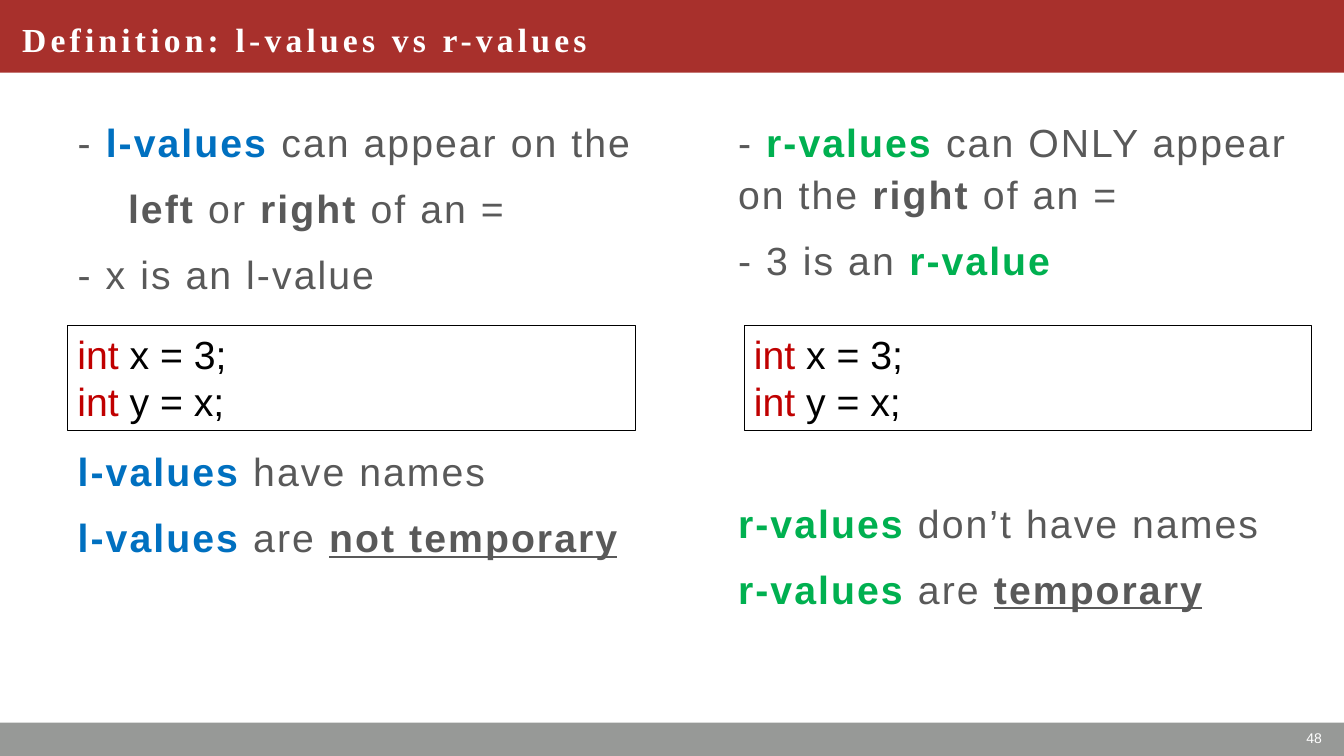
from lxml import etree
from pptx import Presentation
from pptx.dml.color import RGBColor
from pptx.enum.shapes import MSO_SHAPE
from pptx.enum.text import MSO_ANCHOR, MSO_AUTO_SIZE, PP_ALIGN
from pptx.oxml.ns import qn
from pptx.util import Inches, Pt

W, H = 13.33, 7.5
GREY, BLUE, GREEN = "595959", "0070C0", "00B050"
RED, BLACK, WHITE = "C00000", "000000", "FFFFFF"
BLANK_LINE = 47  # points taken by one line of body text with its spacing


def place(sp, box):
    sp.left, sp.top, sp.width, sp.height = (Inches(v) for v in box)


def paint(color_format, hex_color):
    color_format.rgb = RGBColor.from_string(hex_color)


def add_run(p, text, size, color, bold=False, underline=False,
            font="Arial", spacing=0):
    r = p.add_run()
    r.text = text
    r.font.name, r.font.size = font, Pt(size)
    r.font.bold, r.font.underline = bold, underline
    paint(r.font.color, color)
    if spacing:
        r.font._element.set("spc", str(int(spacing * 100)))


def next_paragraph(tf, index):
    return tf.add_paragraph() if index else tf.paragraphs[0]


def add_rect(s, box, fill=None, line=None):
    sp = s.shapes.add_shape(MSO_SHAPE.RECTANGLE, *(Inches(v) for v in box))
    sp.shadow.inherit = False
    if fill:
        sp.fill.solid()
        paint(sp.fill.fore_color, fill)
    else:
        sp.fill.background()
    if line:
        paint(sp.line.color, line)
        sp.line.width = Pt(0.75)
    else:
        sp.line.fill.background()
    return sp


def add_band(s, box, fill):
    """Full-width bar kept behind the placeholders."""
    sp = add_rect(s, box, fill)
    s.shapes._spTree.insert(2, sp._element)


def fill_title(s, box, text):
    place(s.shapes.title, box)
    tf = s.shapes.title.text_frame
    tf.auto_size = MSO_AUTO_SIZE.NONE
    tf.vertical_anchor = MSO_ANCHOR.MIDDLE
    p = tf.paragraphs[0]
    p.alignment = PP_ALIGN.LEFT
    add_run(p, text, 24, WHITE, True, font="Times New Roman", spacing=3)


def fill_column(body, box, paragraphs):
    """Each paragraph is (blank lines above, first-line indent, runs)."""
    place(body, box)
    tf = body.text_frame
    tf.auto_size = MSO_AUTO_SIZE.NONE
    tf.vertical_anchor = MSO_ANCHOR.TOP
    for i, (gap, indent, runs) in enumerate(paragraphs):
        p = next_paragraph(tf, i)
        p.alignment = PP_ALIGN.LEFT
        p.line_spacing = 1.1
        p.space_before, p.space_after = Pt(gap * BLANK_LINE), Pt(10)
        pPr = p._p.get_or_add_pPr()
        pPr.set("marL", "0")
        pPr.set("indent", str(Inches(indent)))
        etree.SubElement(pPr, qn("a:buNone"))
        for text, color, *style in runs:
            add_run(p, text, 28, color, *style, spacing=1.5)


def add_code(s, box, lines):
    sp = add_rect(s, box, line=BLACK)
    tf = sp.text_frame
    tf.word_wrap = True
    tf.vertical_anchor = MSO_ANCHOR.TOP
    for i, (keyword, rest) in enumerate(lines):
        p = next_paragraph(tf, i)
        p.alignment = PP_ALIGN.LEFT
        add_run(p, keyword, 28, RED)
        add_run(p, rest, 28, BLACK)


def add_page_number(s, box, number):
    tf = s.shapes.add_textbox(*(Inches(v) for v in box)).text_frame
    tf.word_wrap = True
    tf.vertical_anchor = MSO_ANCHOR.MIDDLE
    p = tf.paragraphs[0]
    p.alignment = PP_ALIGN.RIGHT
    add_run(p, number, 10, WHITE)


L_VALUES = [
    (0, 0, [("- ", GREY), ("l-values", BLUE, True),
            (" can appear on the", GREY)]),
    (0, 0.5, [("left ", GREY, True), ("or", GREY), (" right", GREY, True),
              (" of an =", GREY)]),
    (0, 0, [("- x is an l-value", GREY)]),
    (2, 0, [("l-values", BLUE, True), (" have names", GREY)]),
    (0, 0, [("l-values", BLUE, True), (" are ", GREY),
            ("not temporary", GREY, True, True)]),
]
R_VALUES = [
    (0, 0, [("-", GREY), (" r-values", GREEN, True),
            (" can ONLY appear on the", GREY), (" right ", GREY, True),
            ("of an =", GREY)]),
    (0, 0, [("- 3 is an ", GREY), ("r-value", GREEN, True)]),
    (3, 0, [("r-values", GREEN, True), (" don’t have names", GREY)]),
    (0, 0, [("r-values", GREEN, True), (" are ", GREY),
            ("temporary", GREY, True, True)]),
]
CODE = [("int", " x = 3;"), ("int", " y = x;")]


def build_comparison(prs):
    s = prs.slides.add_slide(prs.slide_layouts[3])
    # Header and footer
    add_band(s, (0, 0, W, 0.72), "A8302C")
    add_band(s, (0, 7.17, W, 0.33), "979997")
    fill_title(s, (0.12, 0, 7.1, 0.77), "Definition: l-values vs r-values")
    add_page_number(s, (10.26, 7.15, 2.95, 0.35), "48")
    # Two columns, each with its code box
    columns = [(1, 0.67, 0.67, L_VALUES), (2, 7.22, 7.38, R_VALUES)]
    for idx, text_left, code_left, paragraphs in columns:
        fill_column(s.placeholders[idx], (text_left, 1.08, 6.11, 5.09),
                    paragraphs)
        add_code(s, (code_left, 3.23, 5.63, 1.04), CODE)


def main():
    prs = Presentation()
    prs.slide_width, prs.slide_height = Inches(W), Inches(H)
    build_comparison(prs)
    prs.save("out.pptx")


if __name__ == "__main__":
    main()
